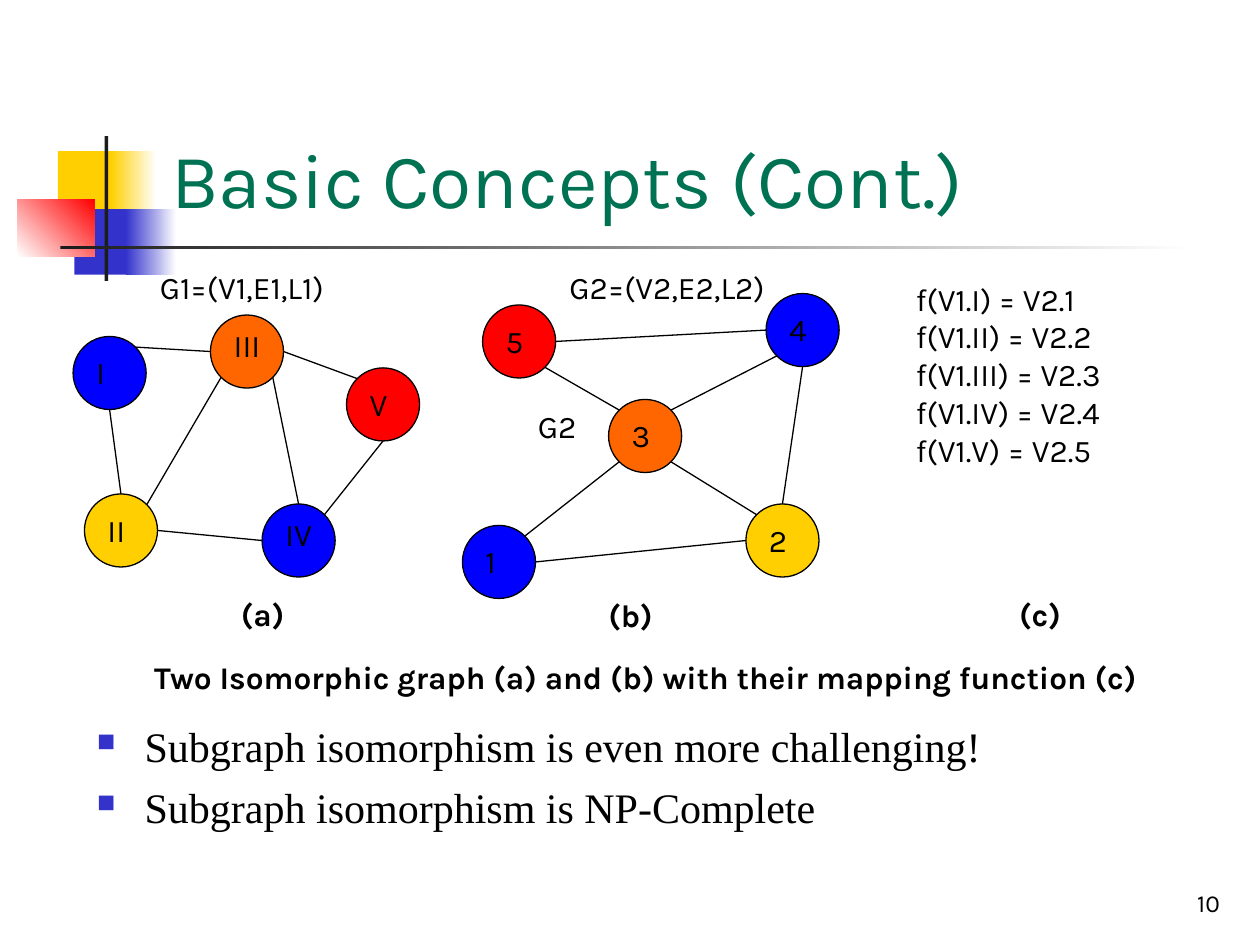
from lxml.etree import SubElement
from pptx import Presentation
from pptx.dml.color import RGBColor
from pptx.enum.shapes import MSO_CONNECTOR, MSO_SHAPE
from pptx.enum.text import MSO_ANCHOR, PP_ALIGN
from pptx.oxml.ns import qn
from pptx.util import Inches, Pt

# Content
TITLE = "Basic Concepts (Cont.)"
CAPTION = "Two Isomorphic graph (a) and (b) with their mapping function (c)"
BULLETS = ["Subgraph isomorphism is even more challenging!",
           "Subgraph isomorphism is NP-Complete"]
MAPPING = ["f(V1.I) = V2.1", "f(V1.II) = V2.2", "f(V1.III) = V2.3",
           "f(V1.IV) = V2.4", "f(V1.V) = V2.5"]
PAGE_NUMBER = "10"

# Node name: (left, top, fill colour)
NODES = {
    "I": (0.58, 2.67, "blue"), "III": (1.67, 2.5, "orange"),
    "II": (0.67, 3.92, "yellow"), "IV": (2.08, 4, "blue"),
    "V": (2.75, 2.92, "red"),
    "1": (3.67, 4.17, "blue"), "3": (4.83, 3.17, "orange"),
    "2": (5.92, 4, "yellow"), "4": (6.08, 2.33, "blue"),
    "5": (3.83, 2.42, "red"),
}
CENTRED_NODES = ("III", "IV")

# Edge: node and compass side at each end
EDGES = [
    ("I", "NE", "III", "W"), ("I", "S", "II", "N"), ("III", "E", "V", "NW"),
    ("V", "S", "IV", "NE"), ("IV", "W", "II", "E"), ("III", "SE", "IV", "N"),
    ("III", "SW", "II", "NE"),
    ("1", "NE", "3", "SW"), ("1", "E", "2", "W"), ("3", "NW", "5", "SE"),
    ("5", "E", "4", "W"), ("4", "S", "2", "N"), ("3", "NE", "4", "SW"),
    ("3", "SE", "2", "NW"),
]

# Label: (text, left, top, width)
GRAPH_LABELS = [("G1=(V1,E1,L1)", 1.17, 2.08, 2.17), ("G2", 4.17, 3.18, 0.67),
                ("G2=(V2,E2,L2)", 4.42, 2.08, 2.17)]
CAPTIONS = [("(a)", 1, 4.67, 2.17), ("(b)", 3.92, 4.68, 2.17),
            ("(c)", 7.17, 4.67, 2.17), (CAPTION, 0.75, 5.17, 8.75)]

# Decoration: (left, top, width, height, colours from start to end, angle)
DECORATION = [
    (0.46, 1.2, 0.48, 0.52, ["yellow"], 0),
    (0.88, 1.2, 0.36, 0.52, ["yellow", "white"], 0),
    (0.59, 1.66, 0.46, 0.52, ["indigo"], 0),
    (1, 1.66, 0.4, 0.52, ["indigo", "white"], 0),
    (0.14, 1.58, 0.61, 0.46, ["white", "red"], 45),
    (0.83, 1.08, 0.03, 1.15, ["charcoal"], 0),
    (0.48, 1.95, 9, 0.03, ["charcoal", "white"], 0),
]

THEME = {
    "color": {"yellow": "FFCF01", "indigo": "3333CC", "red": "FF0000",
              "charcoal": "1C1C1C", "white": "FFFFFF", "green": "007254",
              "black": "000000", "blue": "0000FF", "orange": "FF6600"},
    "size": {"title": 44, "bullet": 24, "label": 18, "number": 14},
    "font": {"main": "Karla", "bullet": "Times New Roman"},
}
NODE_SIZE = 0.58
LINE_WIDTH = 0.75


def color(name):
    return RGBColor.from_string(THEME["color"][name])


def write(shape, lines, size="label", font="main", ink="black", bold=False,
          align=PP_ALIGN.LEFT, anchor=MSO_ANCHOR.TOP, inset=(0.1, 0.05),
          bullet=None, gap=0):
    frame = shape.text_frame
    frame.word_wrap = True
    frame.vertical_anchor = anchor
    frame.margin_left = frame.margin_right = Inches(inset[0])
    frame.margin_top = frame.margin_bottom = Inches(inset[1])
    for index, line in enumerate(lines):
        para = frame.paragraphs[0] if index == 0 else frame.add_paragraph()
        para.alignment = align
        if index and gap:
            para.space_before = Pt(gap)
        if bullet:
            add_bullet(para, bullet)
        span = para.add_run()
        span.text = line
        span.font.size = Pt(THEME["size"][size])
        span.font.name = THEME["font"][font]
        span.font.bold = bold
        span.font.color.rgb = color(ink)


def add_bullet(para, symbol):
    properties = para._p.get_or_add_pPr()
    properties.set("marL", str(Inches(0.38)))
    properties.set("indent", str(Inches(-0.38)))
    bullet_color = SubElement(properties, qn("a:buClr"))
    SubElement(bullet_color, qn("a:srgbClr"), val=THEME["color"]["indigo"])
    SubElement(properties, qn("a:buSzPct"), val="60000")
    SubElement(properties, qn("a:buChar"), char=symbol)


def add_text(page, lines, left, top, width, height=0.4, **style):
    box = page.shapes.add_textbox(*map(Inches, (left, top, width, height)))
    write(box, lines, **style)


def add_decoration(page, left, top, width, height, colors, angle):
    shape = page.shapes.add_shape(
        MSO_SHAPE.RECTANGLE, *map(Inches, (left, top, width, height)))
    shape.shadow.inherit = False
    shape.line.fill.background()
    if len(colors) == 1:
        shape.fill.solid()
        shape.fill.fore_color.rgb = color(colors[0])
    else:
        shape.fill.gradient()
        shape.fill.gradient_angle = angle
        for stop, name in zip(shape.fill.gradient_stops, colors):
            stop.color.rgb = color(name)


def add_node(page, name, left, top, fill):
    node = page.shapes.add_shape(
        MSO_SHAPE.OVAL, *map(Inches, (left, top, NODE_SIZE, NODE_SIZE)))
    node.shadow.inherit = False
    node.fill.solid()
    node.fill.fore_color.rgb = color(fill)
    node.line.color.rgb = color("black")
    node.line.width = Pt(LINE_WIDTH)
    if name in CENTRED_NODES:
        write(node, [name], align=PP_ALIGN.CENTER, inset=(0, 0))
    else:
        write(node, [name])


def rim_point(name, side):
    """Point on a node's circle in the given compass direction."""
    left, top, _ = NODES[name]
    radius = NODE_SIZE / 2
    reach = radius / len(side) ** 0.5
    across = ("E" in side) - ("W" in side)
    down = ("S" in side) - ("N" in side)
    return Inches(left + radius + across * reach), Inches(top + radius + down * reach)


def add_edge(page, start, start_side, end, end_side):
    edge = page.shapes.add_connector(
        MSO_CONNECTOR.STRAIGHT, *rim_point(start, start_side), *rim_point(end, end_side))
    edge.line.color.rgb = color("black")
    edge.line.width = Pt(LINE_WIDTH)
    SubElement(edge._element.spPr, qn("a:effectLst"))


def main():
    deck = Presentation()
    deck.slide_width, deck.slide_height = Inches(10), Inches(7.5)
    page = deck.slides.add_slide(deck.slide_layouts[6])

    # Decoration, title and page number
    for part in DECORATION:
        add_decoration(page, *part)
    add_text(page, [TITLE], 1.26, 0.23, 8.52, 1.6, size="title", ink="green",
             anchor=MSO_ANCHOR.BOTTOM)
    add_text(page, [PAGE_NUMBER], 7.7, 6.83, 2.08, 0.5, size="number",
             align=PP_ALIGN.RIGHT, anchor=MSO_ANCHOR.BOTTOM)

    # Both graphs
    for name, place in NODES.items():
        add_node(page, name, *place)
    for edge in EDGES:
        add_edge(page, *edge)

    # Labels, captions, mapping and bullets
    for label, *place in GRAPH_LABELS:
        add_text(page, [label], *place)
    for caption, *place in CAPTIONS:
        add_text(page, [caption], *place, bold=True, align=PP_ALIGN.CENTER)
    add_text(page, MAPPING, 7.17, 2.17, 2.42, 1.6)
    add_text(page, BULLETS, 0.67, 5.67, 8.5, 1.25, size="bullet",
             font="bullet", bullet="■", gap=6)

    deck.save("out.pptx")


if __name__ == "__main__":
    main()
